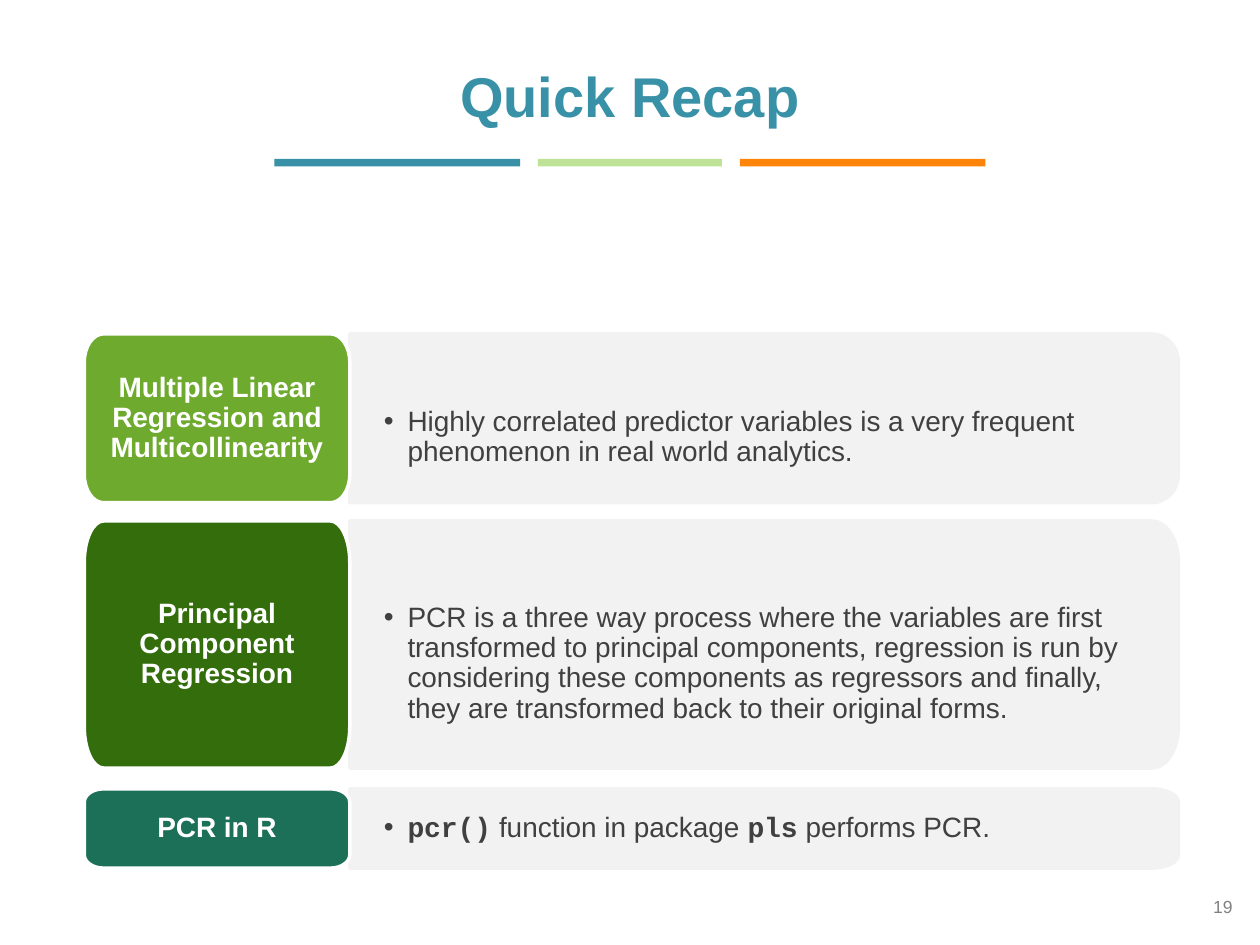
from lxml.etree import SubElement
from pptx import Presentation
from pptx.dml.color import RGBColor
from pptx.enum.shapes import MSO_SHAPE
from pptx.enum.text import MSO_ANCHOR, PP_ALIGN
from pptx.oxml.ns import qn
from pptx.util import Pt

# Content
TITLE = "Quick Recap"
PAGE = "19"
RULES = [(140.4, "teal"), (105.1, "lime"), (140.4, "orange")]  # width, colour
# label, colour, top, height, extra space above the text, runs (text, is code)
ROWS = [
    ("Multiple Linear Regression and Multicollinearity", "green",
     190.8, 96.5, 22, [
         ("Highly correlated predictor variables is a very frequent "
          "phenomenon in real world analytics.", False)]),
    ("Principal Component Regression", "forest", 297.7, 141.2, 22, [
        ("PCR is a three way process where the variables are first "
         "transformed to principal components, regression is run by "
         "considering these components as regressors and finally, they "
         "are transformed back to their original forms.", False)]),
    ("PCR in R", "pine", 450.8, 45.3, 0, [
        ("pcr()", True), (" function in package ", False),
        ("pls", True), (" performs PCR.", False)]),
]

THEME = {
    "teal": "3891A7", "lime": "BEE396", "orange": "FF850A",
    "green": "6EAA2E", "forest": "336D0C", "pine": "1C7057",
    "panel": "F2F2F2", "white": "FFFFFF", "ink": "404040", "grey": "808080",
    "font": "Arial", "code": "Courier New",
    "head": 32, "body": 16, "foot": 10,
}

# Layout in points
WIDTH, HEIGHT = 720, 540
LEFT, SPLIT, RIGHT = 48.2, 199.9, 673.4
RULE_Y, RULE_H, RULE_GAP = 90.8, 4.3, 10.2
INDENT = 13.5
BEND = 0.55  # pull of a curve towards its corner


def tint(name):
    return RGBColor.from_string(THEME[name])


def add_run(para, text, size, color, bold=False, font="font"):
    run = para.add_run()
    run.text = text
    run.font.name = THEME[font]
    run.font.size = Pt(THEME[size])
    run.font.bold = bold
    run.font.color.rgb = tint(color)


def set_frame(shape, anchor, insets, align):
    frame = shape.text_frame
    frame.word_wrap = True
    frame.vertical_anchor = anchor
    (frame.margin_left, frame.margin_top,
     frame.margin_right, frame.margin_bottom) = [Pt(n) for n in insets]
    para = frame.paragraphs[0]
    para.alignment = align
    return para


def paint(shape, fill, line=None):
    shape.shadow.inherit = False
    shape.fill.solid()
    shape.fill.fore_color.rgb = tint(fill)
    if line:
        shape.line.color.rgb = tint(line)
        shape.line.width = Pt(2)
    else:
        shape.line.fill.background()


def pull(dot, tip):
    return tuple(a + (b - a) * BEND for a, b in zip(dot, tip))


def add_block(left, top, right, height, rx, both, fill, line):
    """Block with curved corners on the right, or on both sides."""
    ry, base = height / 6, top + height
    # each corner: start, tip, end
    corners = [
        ((right - rx, top), (right, top), (right, top + ry)),
        ((right, base - ry), (right, base), (right - rx, base))]
    if both:
        corners += [
            ((left + rx, base), (left, base), (left, base - ry)),
            ((left, top + ry), (left, top), (left + rx, top))]
    dots = []
    for start, tip, end in corners:
        dots += [start, pull(start, tip), pull(end, tip), end]
    if not both:
        dots += [(left, base), (left, top)]
    dots = [(Pt(x), Pt(y)) for x, y in dots]
    build = slide.shapes.build_freeform(*dots[0])
    build.add_line_segments(dots[1:], close=True)
    shape = build.convert_to_shape()
    # Merge the three points of each corner into one curve
    lines = list(shape._element.iter(qn("a:lnTo")))
    for i in range(len(corners)):
        trio = lines[4 * i:4 * i + 3]
        trio[0].tag = qn("a:cubicBezTo")
        for spare in trio[1:]:
            trio[0].append(spare[0])
            spare.getparent().remove(spare)
    paint(shape, fill, line)
    return shape


def add_bullet(para):
    props = para._p.get_or_add_pPr()
    props.set("marL", str(Pt(INDENT)))
    props.set("indent", str(-Pt(INDENT)))
    SubElement(props, qn("a:buFont"), typeface=THEME["font"])
    SubElement(props, qn("a:buChar"), char="•")


deck = Presentation()
deck.slide_width, deck.slide_height = Pt(WIDTH), Pt(HEIGHT)
slide = deck.slides.add_slide(deck.slide_layouts[6])

# Title
box = slide.shapes.add_textbox(Pt(36), Pt(31.7), Pt(648), Pt(52.6))
para = set_frame(box, MSO_ANCHOR.TOP, (7.2, 3.6, 7.2, 3.6), PP_ALIGN.CENTER)
add_run(para, TITLE, "head", "teal", True)

# Coloured rules, centred under the title
span = sum(wide for wide, _ in RULES) + RULE_GAP * (len(RULES) - 1)
x = (WIDTH - span) / 2
for wide, color in RULES:
    rule = slide.shapes.add_shape(
        MSO_SHAPE.RECTANGLE, Pt(x), Pt(RULE_Y), Pt(wide), Pt(RULE_H))
    paint(rule, color)
    x += wide + RULE_GAP

# Rows: a grey panel and its label
for label, color, y, tall, extra, runs in ROWS:
    panel = add_block(SPLIT, y, RIGHT, tall, 15.2, False, "panel", "panel")
    para = set_frame(panel, MSO_ANCHOR.MIDDLE, (19.5, 13 + extra, 23, 13),
                     PP_ALIGN.LEFT)
    para.line_spacing = 0.9
    add_bullet(para)
    for text, code in runs:
        add_run(para, text, "body", "ink", code, "code" if code else "font")

    tab = add_block(LEFT, y, SPLIT, tall, 11, True, color, "white")
    para = set_frame(tab, MSO_ANCHOR.MIDDLE, (9.4, 6.5, 9.4, 6.5),
                     PP_ALIGN.CENTER)
    para.line_spacing = 0.9
    add_run(para, label, "body", "white", True)

# Page number
box = slide.shapes.add_textbox(Pt(543.6), Pt(499), Pt(167.8), Pt(37.4))
para = set_frame(box, MSO_ANCHOR.MIDDLE, (7.2, 3.6, 7.2, 3.6), PP_ALIGN.RIGHT)
add_run(para, PAGE, "foot", "grey")

deck.save("out.pptx")
